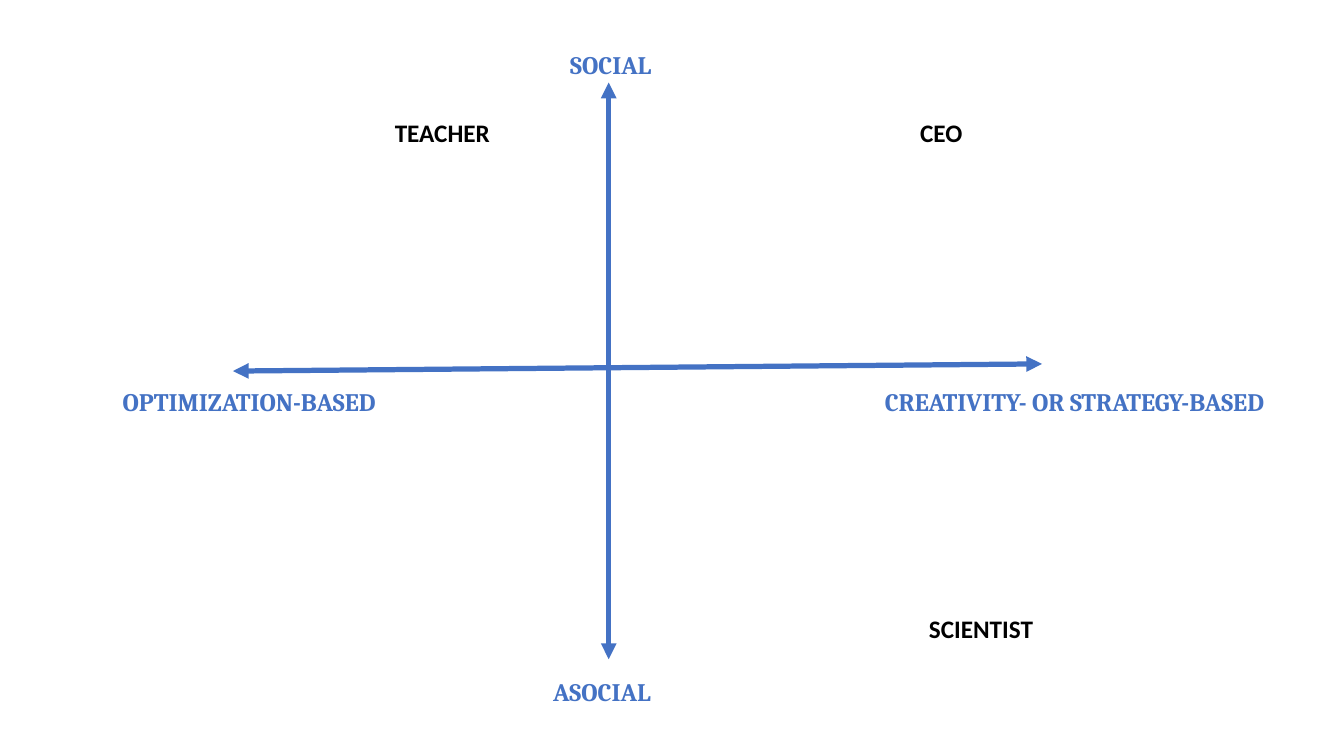
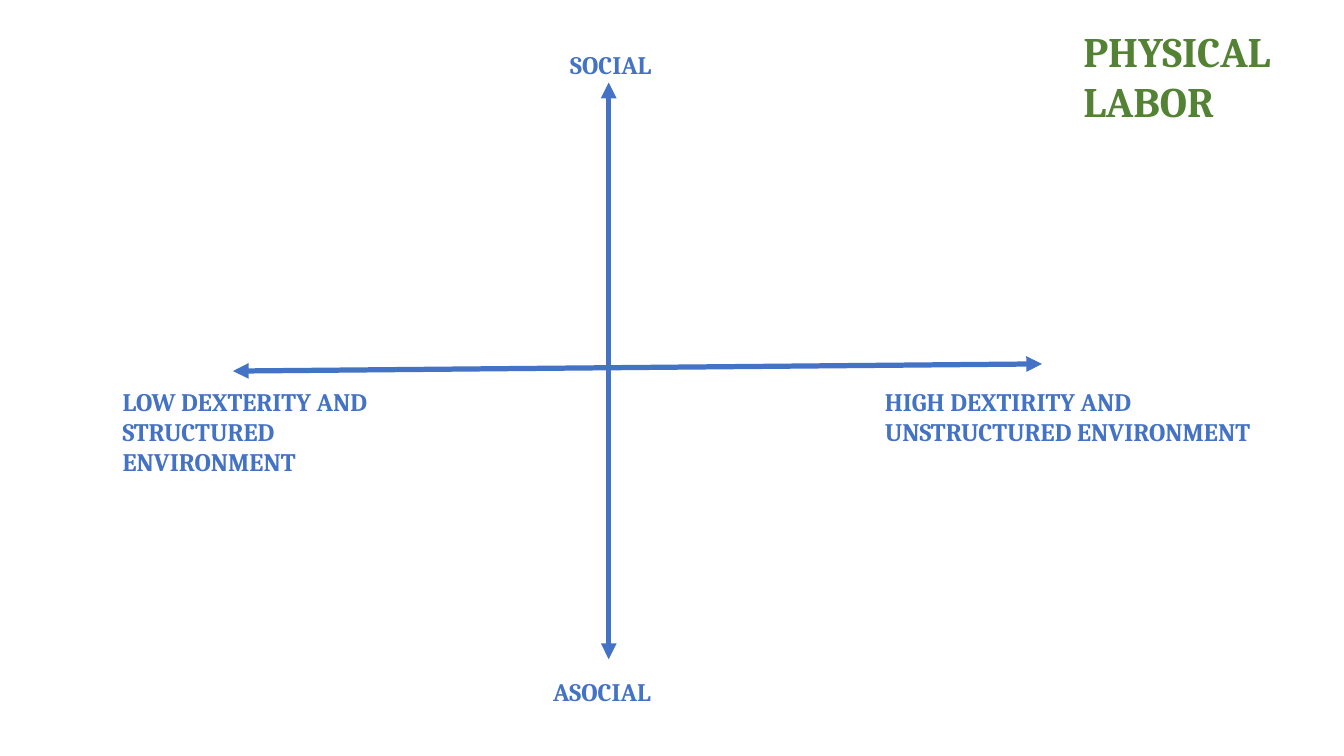
from dataclasses import dataclass

from lxml.etree import SubElement
from pptx import Presentation
from pptx.dml.color import RGBColor as RGB
from pptx.enum.shapes import MSO_CONNECTOR as CONNECTOR
from pptx.enum.text import MSO_AUTO_SIZE as AUTO_SIZE
from pptx.oxml.ns import qn
from pptx.util import Cm, Pt


@dataclass(frozen=True)
class TextStyle:
    font: str
    size: int
    color: RGB
    wrap: bool = True


class Theme:
    blue = RGB(0x44, 0x72, 0xC4)
    line_width = Pt(3.75)
    axis = TextStyle("Cambria", 18, blue)
    job = TextStyle("Calibri", 18, RGB(0, 0, 0), wrap=False)
    heading = TextStyle("Cambria", 30, RGB(0x54, 0x82, 0x35))


SLIDE_SIZE = (33.87, 19.05)
AXES = [(15.34, 2.08, 15.34, 16.61), (5.87, 9.35, 26.26, 9.17)]
POLES = [
    ("ASOCIAL", (13.69, 16.92, 3.3, 1.02)),
    ("SOCIAL", (14.12, 1.12, 3.3, 1.02)),
]
LEFT_END = (2.84, 9.6, 7.24, 2.57)
RIGHT_END = (22.05, 9.6, 10.74, 1.8)
HEADING_BOX = (27.05, 0.51, 6.6, 2.82)

SLIDES = [
    {
        "left": "OPTIMIZATION-BASED",
        "right": "CREATIVITY- OR STRATEGY-BASED",
        "jobs": [
            ("CEO", (22.94, 2.82, 1.57, 1.02)),
            ("SCIENTIST", (23.16, 15.32, 3.15, 1.02)),
            ("TEACHER", (9.7, 2.82, 2.92, 1.02)),
        ],
    },
    {
        "left": "LOW DEXTERITY AND\nSTRUCTURED ENVIRONMENT",
        "right": "HIGH DEXTIRITY AND UNSTRUCTURED ENVIRONMENT",
        "heading": "PHYSICAL\nLABOR",
    },
]


def add_axis(slide, ends):
    line = slide.shapes.add_connector(CONNECTOR.STRAIGHT, *map(Cm, ends))
    line.line.color.rgb = Theme.blue
    line.line.width = Theme.line_width
    ln = line.line._get_or_add_ln()
    for tag in ("a:headEnd", "a:tailEnd"):
        SubElement(ln, qn(tag), type="triangle")
    SubElement(line._element.spPr, qn("a:effectLst"))


def add_text(slide, text, box, style):
    tf = slide.shapes.add_textbox(*map(Cm, box)).text_frame
    tf.word_wrap = style.wrap
    tf.auto_size = AUTO_SIZE.SHAPE_TO_FIT_TEXT
    tf.text = text
    for p in tf.paragraphs:
        for r in p.runs:
            r.font.name = style.font
            r.font.size = Pt(style.size)
            r.font.bold = True
            r.font.color.rgb = style.color


def build_slide(prs, content):
    slide = prs.slides.add_slide(prs.slide_layouts[6])
    for ends in AXES:
        add_axis(slide, ends)
    ends = [(content["left"], LEFT_END), (content["right"], RIGHT_END)]
    for text, box in ends + POLES:
        add_text(slide, text, box, Theme.axis)
    for text, box in content.get("jobs", []):
        add_text(slide, text, box, Theme.job)
    if "heading" in content:
        add_text(slide, content["heading"], HEADING_BOX, Theme.heading)


def main():
    prs = Presentation()
    prs.slide_width, prs.slide_height = map(Cm, SLIDE_SIZE)
    for content in SLIDES:
        build_slide(prs, content)
    prs.save("out.pptx")


if __name__ == "__main__":
    main()
